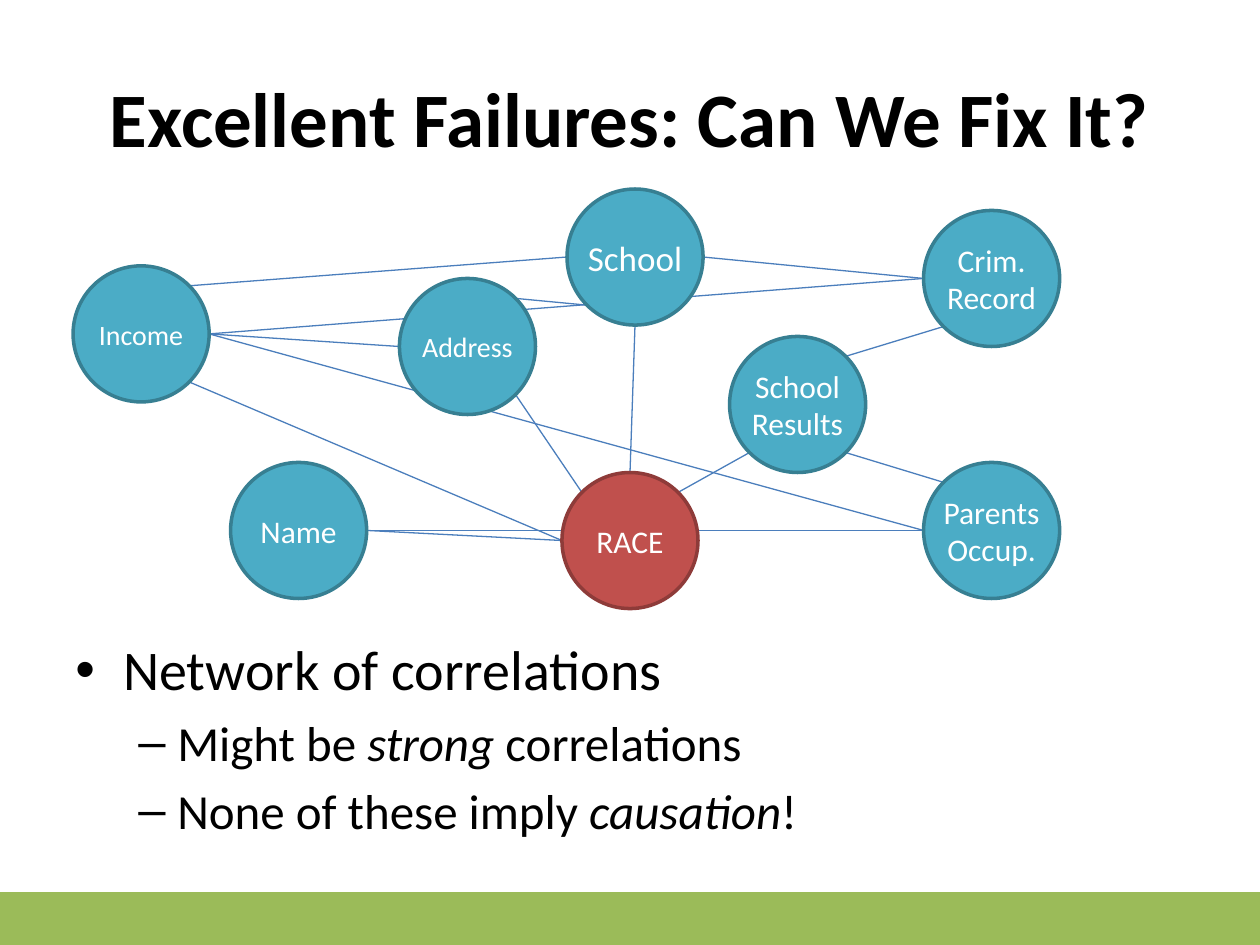
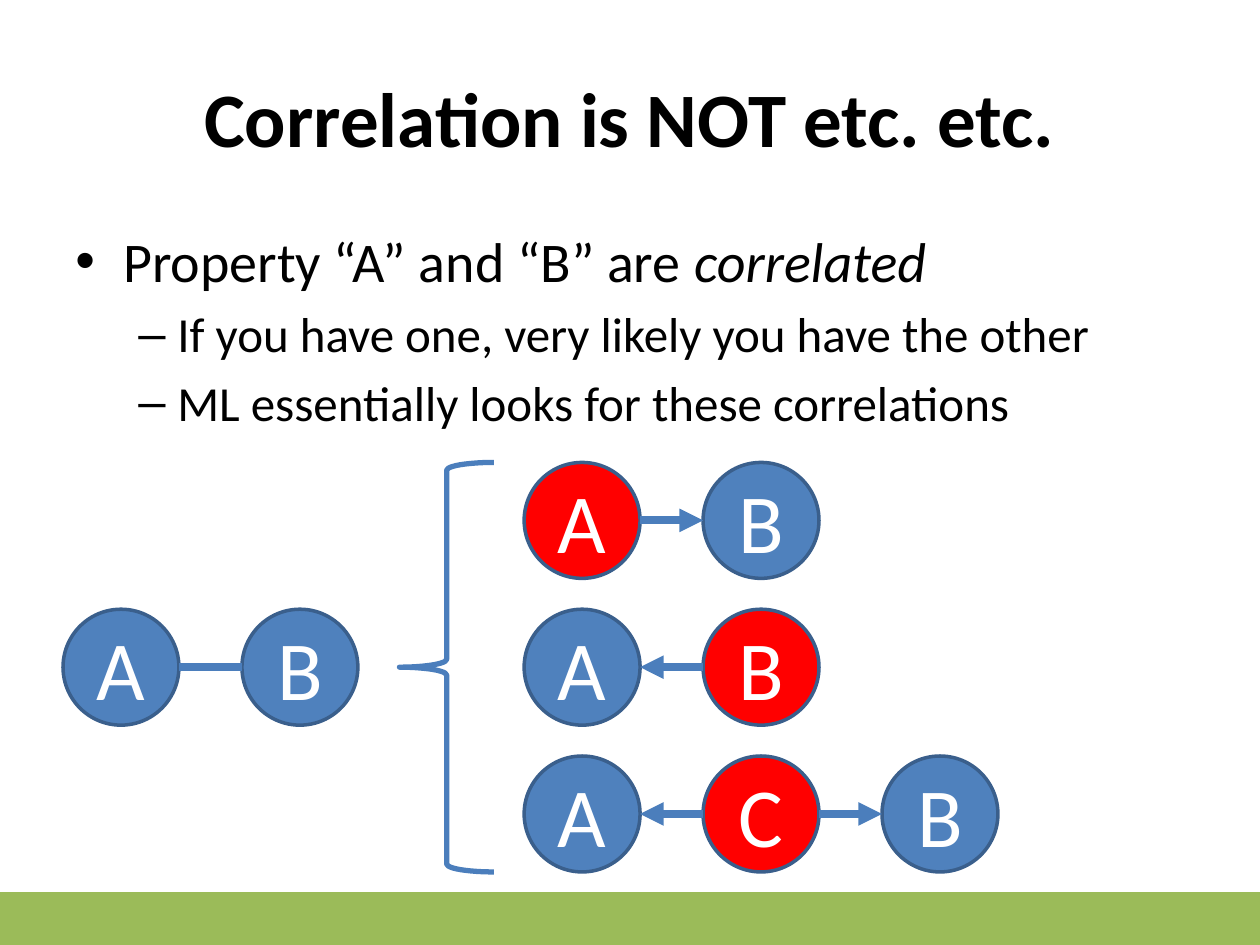
from lxml import etree
from pptx import Presentation
from pptx.dml.color import RGBColor
from pptx.enum import shapes, text
from pptx.oxml.ns import qn
from pptx.util import Inches, Pt

# ---- Shared look ----
FONT = "Calibri"
BLACK = RGBColor(0x00, 0x00, 0x00)
WHITE = RGBColor(0xFF, 0xFF, 0xFF)
GREEN = RGBColor(0x9B, 0xBB, 0x59)
TEAL, TEAL_EDGE = RGBColor(0x4B, 0xAC, 0xC6), RGBColor(0x37, 0x7F, 0x92)
BRICK, BRICK_EDGE = RGBColor(0xC0, 0x50, 0x4D), RGBColor(0x8E, 0x3B, 0x39)
BLUE, BLUE_EDGE = RGBColor(0x4F, 0x81, 0xBD), RGBColor(0x3A, 0x5F, 0x8C)
RED = RGBColor(0xFF, 0x00, 0x00)
LINK = RGBColor(0x4B, 0x7E, 0xBC)

# Outline levels: bullet, left indent, hanging indent, size, space before
LEVELS = [("•", 0.38, 0.38, 32, 6.4), ("–", 0.81, 0.31, 28, 5.6)]

# ---- Slide 1 content: (level, runs); every second run is italic ----
NETWORK_TITLE = "Excellent Failures: Can We Fix It?"
NETWORK_POINTS = [
    (0, ["Network of correlations"]),
    (1, ["Might be ", "strong", " correlations"]),
    (1, ["None of these imply ", "causation", "!"]),
]
NODE_SIZE = 1.08
# key: (left, top, lines, text size)
NODES = {
    "results": (5.79, 2.67, ["School", "Results"], 18),
    "income": (0.58, 2.11, ["Income"], 16),
    "school": (4.5, 1.5, ["School"], 20),
    "address": (3.17, 2.21, ["Address"], 16),
    "crime": (7.33, 1.67, ["Crim.", "Record"], 18),
    "parents": (7.33, 3.67, ["Parents", "Occup."], 18),
    "name": (1.83, 3.67, ["Name"], 18),
    "race": (4.46, 3.75, ["RACE"], 18),
}
# Each link joins a compass point of one node to one of another
LINKS = [
    ("address", "SE", "race", "NW"), ("income", "SE", "race", "W"),
    ("address", "NE", "school", "SW"), ("school", "S", "race", "N"),
    ("school", "W", "income", "NE"), ("income", "E", "address", "W"),
    ("name", "E", "race", "W"), ("parents", "W", "name", "E"),
    ("parents", "NW", "results", "SE"), ("parents", "W", "income", "E"),
    ("crime", "SW", "results", "NE"), ("school", "E", "crime", "W"),
    ("income", "E", "crime", "W"), ("results", "SW", "race", "NE"),
]

# ---- Slide 2 content ----
CAUSE_TITLE = "Correlation is NOT etc. etc."
CAUSE_POINTS = [
    (0, ["Property “A” and “B” are ", "correlated"]),
    (1, ["If you have one, very likely you have the other"]),
    (1, ["ML essentially looks for these correlations"]),
]
LETTER_SIZE, LETTER_PITCH = 0.92, 1.42
ROW_TOP, ROW_PITCH = 3.67, 1.165
# (left, row, letters, cause, arrows between neighbours)
CHAINS = [
    (0.5, 1, "AB", "", ["-"]),
    (4.16, 0, "AB", "A", [">"]),
    (4.16, 1, "AB", "B", ["<"]),
    (4.16, 2, "ACB", "C", ["<", ">"]),
]
BRACE = (3.17, 3.67, 0.75, 3.25)


def box(rect):
    return [Inches(value) for value in rect]


def style(paragraph, size, color, bold=None):
    font = paragraph.font
    font.name, font.size, font.bold = FONT, Pt(size), bold
    font.color.rgb = color


def add_text_area(slide, rect):
    frame = slide.shapes.add_textbox(*box(rect)).text_frame
    frame.word_wrap = True
    return frame


def add_outline(slide, rect, points):
    frame = add_text_area(slide, rect)
    for number, (level, runs) in enumerate(points):
        bullet, indent, hanging, size, before = LEVELS[level]
        point = frame.add_paragraph() if number else frame.paragraphs[0]
        point.level = level
        if number:
            point.space_before = Pt(before)
        props = point._p.get_or_add_pPr()
        props.set("marL", str(Inches(indent)))
        props.set("indent", str(-Inches(hanging)))
        etree.SubElement(props, qn("a:buFont")).set("typeface", "Arial")
        etree.SubElement(props, qn("a:buChar")).set("char", bullet)
        style(point, size, BLACK)
        for order, words in enumerate(runs):
            run = point.add_run()
            run.text = words
            if order % 2:
                run.font.italic = True


def start_slide(deck, title, points, points_rect):
    slide = deck.slides.add_slide(deck.slide_layouts[6])
    # Bottom band
    band = slide.shapes.add_shape(shapes.MSO_SHAPE.RECTANGLE, *box((0, 7.08, 10, 0.42)))
    band.shadow.inherit = False
    band.fill.solid()
    band.fill.fore_color.rgb = GREEN
    band.line.fill.background()
    # Title
    frame = add_text_area(slide, (0.5, 0.3, 9, 1.25))
    frame.vertical_anchor = text.MSO_ANCHOR.MIDDLE
    heading = frame.paragraphs[0]
    heading.text = title
    heading.alignment = text.PP_ALIGN.CENTER
    style(heading, 44, BLACK, True)
    add_outline(slide, points_rect, points)
    return slide


def add_circle(slide, left, top, diameter, lines, size, fill, edge, inset=None):
    circle = slide.shapes.add_shape(
        shapes.MSO_SHAPE.OVAL, *box((left, top, diameter, diameter)))
    circle.shadow.inherit = False
    circle.fill.solid()
    circle.fill.fore_color.rgb = fill
    circle.line.color.rgb = edge
    circle.line.width = Pt(2)
    frame = circle.text_frame
    frame.vertical_anchor = text.MSO_ANCHOR.MIDDLE
    if inset is not None:
        frame.margin_left = frame.margin_right = Inches(inset)
        frame.margin_top = frame.margin_bottom = Inches(inset)
    frame.text = "\n".join(lines)
    for paragraph in frame.paragraphs:
        paragraph.alignment = text.PP_ALIGN.CENTER
        style(paragraph, size, WHITE)


def add_link(slide, start, end, width, arrow=False):
    link = slide.shapes.add_connector(
        shapes.MSO_CONNECTOR.STRAIGHT, *box((*start, *end)))
    link.line.color.rgb = LINK
    link.line.width = Pt(width)
    if arrow:
        etree.SubElement(link.line._get_or_add_ln(), qn("a:tailEnd")).set("type", "triangle")
    etree.SubElement(link._element.spPr, qn("a:effectLst"))


def rim_point(key, compass):
    """Point on a node's rim in a compass direction."""
    left, top = NODES[key][:2]
    radius = NODE_SIZE / 2
    reach = radius * (0.5 ** 0.5 if len(compass) == 2 else 1)
    across = ("E" in compass) - ("W" in compass)
    down = ("S" in compass) - ("N" in compass)
    return left + radius + across * reach, top + radius + down * reach


def build_network(deck):
    slide = start_slide(deck, NETWORK_TITLE, NETWORK_POINTS, (0.5, 4.99, 9, 1.71))
    for source, source_side, target, target_side in LINKS:
        add_link(slide, rim_point(source, source_side), rim_point(target, target_side), 0.75)
    for key, (left, top, lines, size) in NODES.items():
        if key == "race":
            colors = (BRICK, BRICK_EDGE)
        else:
            colors = (TEAL, TEAL_EDGE, 0)
        add_circle(slide, left, top, NODE_SIZE, lines, size, *colors)


def build_causes(deck):
    slide = start_slide(deck, CAUSE_TITLE, CAUSE_POINTS, (0.5, 1.75, 9, 2.46))
    # Chains of letters
    for left, row, letters, cause, arrows in CHAINS:
        top = ROW_TOP + row * ROW_PITCH
        middle = top + LETTER_SIZE / 2
        lefts = [left + order * LETTER_PITCH for order in range(len(letters))]
        for letter, letter_left in zip(letters, lefts):
            fill = RED if letter == cause else BLUE
            add_circle(slide, letter_left, top, LETTER_SIZE, [letter], 48, fill, BLUE_EDGE)
        for arrow, before, after in zip(arrows, lefts, lefts[1:]):
            ends = [(before + LETTER_SIZE, middle), (after, middle)]
            if arrow == "<":
                ends.reverse()
            add_link(slide, *ends, 4.5, arrow != "-")
    # Brace opening onto the three explanations
    brace = slide.shapes.add_shape(shapes.MSO_SHAPE.LEFT_BRACE, *box(BRACE))
    brace.shadow.inherit = False
    brace.fill.background()
    brace.line.color.rgb = LINK
    brace.line.width = Pt(3)


def main():
    deck = Presentation()
    deck.slide_width, deck.slide_height = Inches(10), Inches(7.5)
    build_network(deck)
    build_causes(deck)
    deck.save("out.pptx")


if __name__ == "__main__":
    main()
